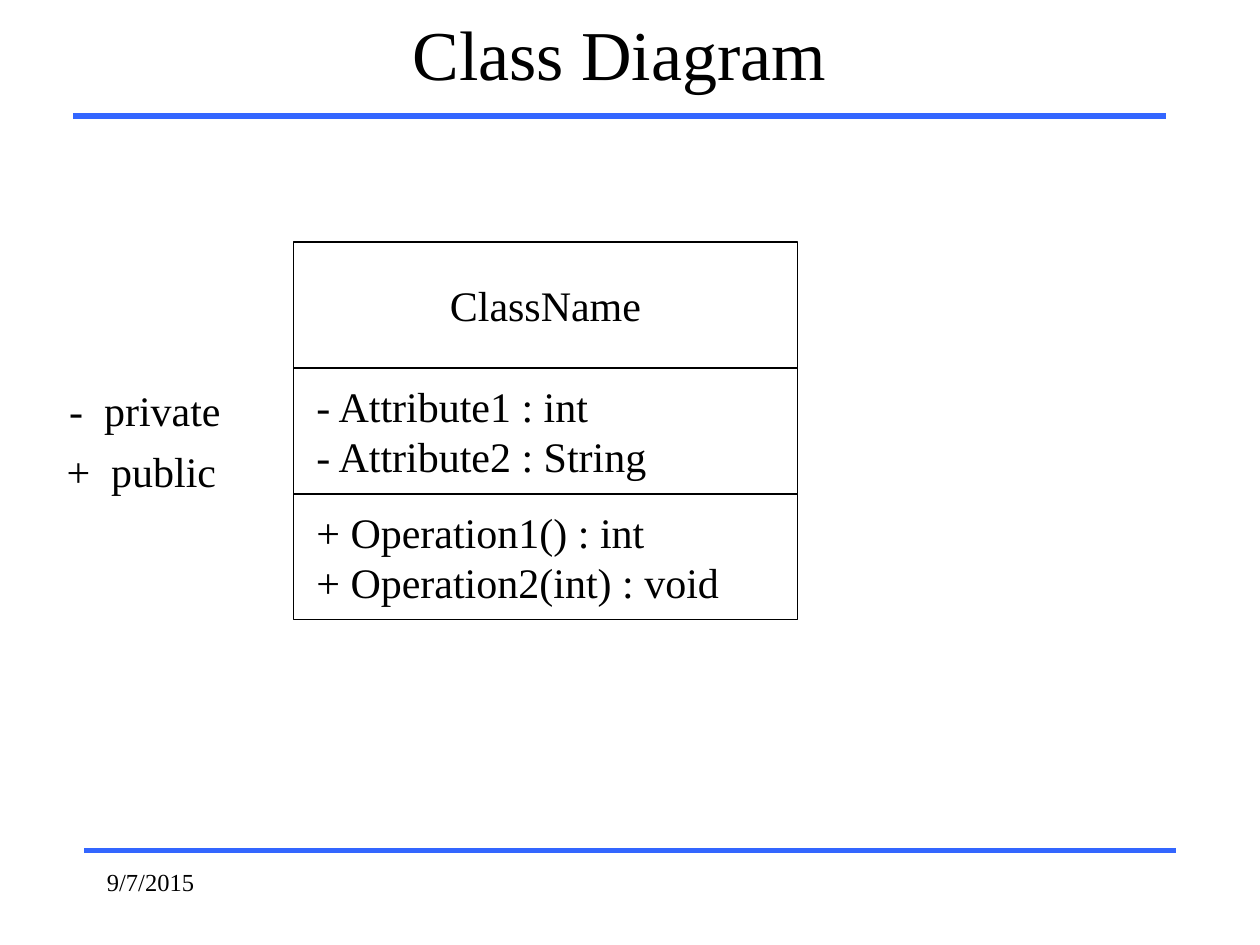
from pptx import Presentation
from pptx.dml.color import RGBColor as RGB
from pptx.enum.shapes import MSO_CONNECTOR as CONN, MSO_SHAPE as SHAPE
from pptx.enum.text import MSO_ANCHOR as ANCHOR, PP_ALIGN as ALIGN
from pptx.oxml.ns import qn
from pptx.util import Inches, Pt

THEME = {
    "font": "Times New Roman",
    "ink": RGB(0x00, 0x00, 0x00),
    "paper": RGB(0xFF, 0xFF, 0xFF),
    "rule": RGB(0x33, 0x66, 0xFF),
    "title": Pt(40),
    "body": Pt(24),
    "date": Pt(14),
}

prs = Presentation()
prs.slide_width, prs.slide_height = Inches(10), Inches(7.5)
s = prs.slides.add_slide(prs.slide_layouts[6])


def write(sp, lines, size, align=ALIGN.LEFT, anchor=ANCHOR.TOP, wrap=True):
    tf = sp.text_frame
    tf.word_wrap = wrap
    tf.vertical_anchor = anchor
    for i, line in enumerate(lines):
        p = tf.paragraphs[0] if i == 0 else tf.add_paragraph()
        p.alignment = align
        r = p.add_run()
        r.text = line
        r.font.name = THEME["font"]
        r.font.size = size
        r.font.color.rgb = THEME["ink"]


for x1, x2, y in [(0.67, 9.33, 6.75), (0.58, 9.25, 0.92)]:
    rule = s.shapes.add_connector(CONN.STRAIGHT, Inches(x1), Inches(y), Inches(x2), Inches(y))
    rule.line.color.rgb = THEME["rule"]
    rule.line.width = Pt(3)
    rule._element.spPr.append(rule._element.makeelement(qn("a:effectLst"), {}))

title = s.shapes.add_textbox(Inches(0.58), Inches(0), Inches(8.67), Inches(0.83))
write(title, ["Class Diagram"], THEME["title"], ALIGN.CENTER, ANCHOR.MIDDLE)

date = s.shapes.add_textbox(Inches(0.75), Inches(6.83), Inches(2.08), Inches(0.5))
write(date, ["9/7/2015"], THEME["date"])

compartments = [
    (["ClassName"], ALIGN.CENTER),
    ([" - Attribute1 : int", " - Attribute2 : String"], ALIGN.LEFT),
    ([" + Operation1() : int", " + Operation2(int) : void"], ALIGN.LEFT),
]
for i, (lines, align) in enumerate(compartments):
    sp = s.shapes.add_shape(SHAPE.RECTANGLE, Inches(2.33), Inches(1.92 + i), Inches(4), Inches(1))
    sp.shadow.inherit = False
    sp.fill.solid()
    sp.fill.fore_color.rgb = THEME["paper"]
    sp.line.color.rgb = THEME["ink"]
    sp.line.width = Pt(0.75)
    write(sp, lines, THEME["body"], align, ANCHOR.MIDDLE)

legend = [("-  private", 0.45, 3, 1.42), ("+  public", 0.43, 3.49, 1.4)]
for label, x, y, w in legend:
    sp = s.shapes.add_textbox(Inches(x), Inches(y), Inches(w), Inches(0.51))
    write(sp, [label], THEME["body"], wrap=False)

prs.save("out.pptx")
